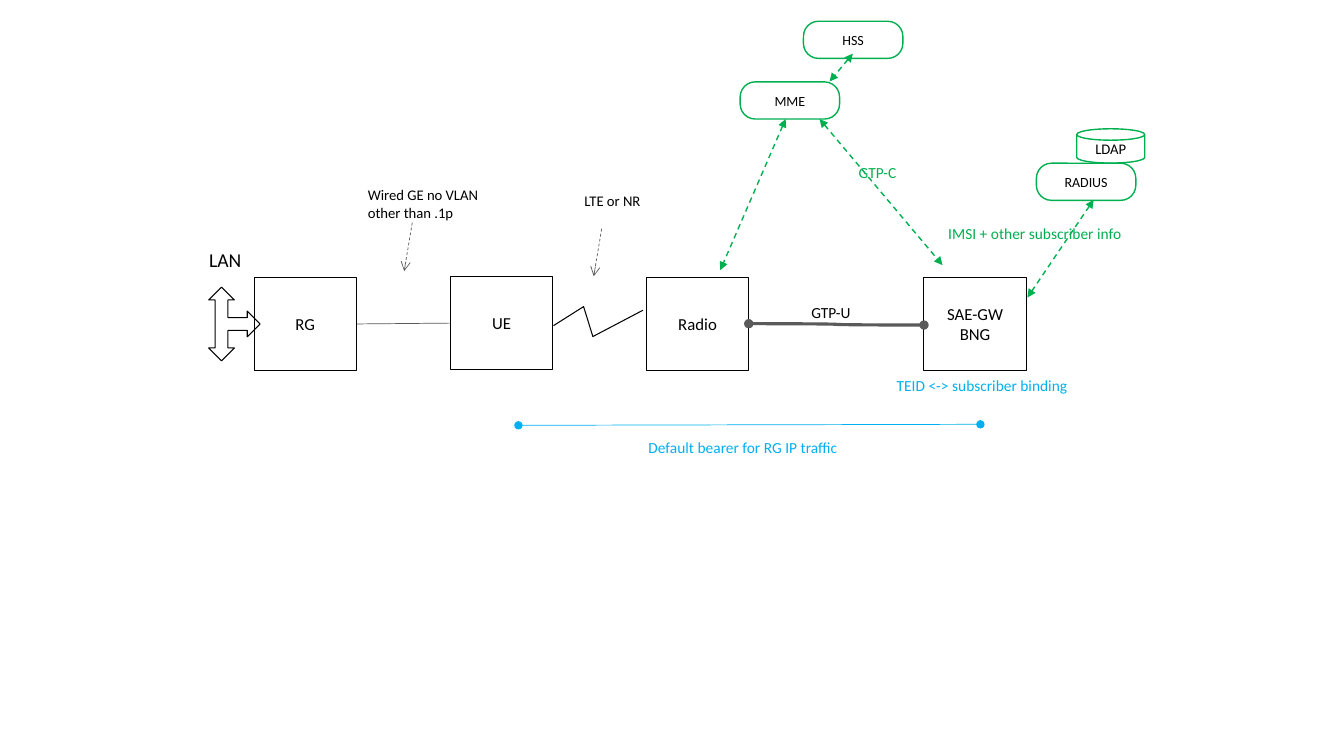
from lxml import etree
from pptx import Presentation
from pptx.dml.color import RGBColor
from pptx.enum.dml import MSO_LINE
from pptx.enum.shapes import MSO_CONNECTOR, MSO_SHAPE
from pptx.enum.text import MSO_ANCHOR, PP_ALIGN
from pptx.oxml.ns import qn
from pptx.util import Pt

RECTANGLE = MSO_SHAPE.RECTANGLE
ROUNDED = MSO_SHAPE.ROUNDED_RECTANGLE
DISK = MSO_SHAPE.FLOWCHART_MAGNETIC_DISK
THREE_WAY_ARROW = MSO_SHAPE.LEFT_RIGHT_UP_ARROW
STRAIGHT, CURVE = MSO_CONNECTOR.STRAIGHT, MSO_CONNECTOR.CURVE
DASH = MSO_LINE.DASH
LEFT, CENTER = PP_ALIGN.LEFT, PP_ALIGN.CENTER
TOP, MIDDLE = MSO_ANCHOR.TOP, MSO_ANCHOR.MIDDLE

COLORS = {"black": "000000", "gray": "5A5A5A", "green": "00B050", "blue": "00B0F0"}


def write(frame, text, size=11, color="black", align=LEFT, anchor=TOP, font="Calibri"):
    """Fill a text frame, one paragraph for each line of text."""
    frame.word_wrap = True
    frame.vertical_anchor = anchor
    frame.margin_left = frame.margin_right = frame.margin_top = frame.margin_bottom = 0
    for index, words in enumerate(text.split("\n")):
        para = frame.add_paragraph() if index else frame.paragraphs[0]
        para.alignment = align
        span = para.add_run()
        span.text = words
        span.font.name = font
        span.font.size = Pt(size)
        span.font.color.rgb = RGBColor.from_string(COLORS[color])


class Diagram:
    def __init__(self, page):
        self.page = page

    def outline(self, line, color, width):
        line.color.rgb = RGBColor.from_string(COLORS[color])
        line.width = Pt(width)

    def shape(self, kind, left, top, width, height, text="", size=12,
              color="black", weight=0.75):
        box = self.page.shapes.add_shape(kind, Pt(left), Pt(top), Pt(width), Pt(height))
        box.shadow.inherit = False
        box.fill.background()
        self.outline(box.line, color, weight)
        if text:
            write(box.text_frame, text, size, align=CENTER, anchor=MIDDLE)
        return box

    def label(self, text, left, top, width, height, **style):
        box = self.page.shapes.add_textbox(Pt(left), Pt(top), Pt(width), Pt(height))
        write(box.text_frame, text, **style)

    def link(self, start, end, color="gray", weight=0.5, dashed=False,
             head=None, tail=None, kind=STRAIGHT):
        line = self.page.shapes.add_connector(kind, *map(Pt, start + end))
        self.outline(line.line, color, weight)
        if dashed:
            line.line.dash_style = DASH
        stroke = line.line._get_or_add_ln()
        for tag, marker in (("a:headEnd", head), ("a:tailEnd", tail)):
            if marker:
                etree.SubElement(stroke, qn(tag), type=marker)
        etree.SubElement(line._element.spPr, qn("a:effectLst"))

    def polyline(self, points, color="black", weight=0.75):
        builder = self.page.shapes.build_freeform(*map(Pt, points[0]))
        builder.add_line_segments([tuple(map(Pt, point)) for point in points[1:]], close=False)
        line = builder.convert_to_shape()
        line.shadow.inherit = False
        line.fill.background()
        self.outline(line.line, color, weight)


deck = Presentation()
deck.slide_width, deck.slide_height = Pt(960), Pt(540)
diagram = Diagram(deck.slides.add_slide(deck.slide_layouts[6]))

# Network nodes
for name, left, top in (("RG", 181.5, 198), ("UE", 321.75, 197.3),
                        ("Radio", 461.8, 198), ("SAE-GW\nBNG", 660, 198)):
    diagram.shape(RECTANGLE, left, top, 73, 66.5, name)

# LAN side
lan_arrow = diagram.shape(THREE_WAY_ARROW, 141.1, 213.1, 52.6, 36.7)
lan_arrow.rotation = 90
diagram.label("LAN", 149.4, 176.8, 31, 12.5, size=14)

# Links between RG, UE and Radio, with callouts
diagram.link((254.9, 231.4), (321.8, 230.8))
for text, left, top, start, end in (
        ("Wired GE no VLAN other than .1p", 262.8, 133, (294.5, 159.1), (288.7, 193.7)),
        ("LTE or NR", 417.4, 136.8, (429.8, 163.4), (424.1, 197.3))):
    diagram.label(text, left, top, 85.7, 20, size=10.5)
    diagram.link(start, end, dashed=True, tail="arrow")
diagram.polyline([(395.4, 232.6), (416.9, 219), (423.5, 240.4), (459.3, 221.6)])

# Control servers
for name, left, top in (("MME", 528.7, 58.5), ("HSS", 573.9, 15.2), ("RADIUS", 740.3, 116.6)):
    server = diagram.shape(ROUNDED, left, top, 71, 26.5, name, 10, "green", 1)
    server.adjustments[0] = 0.405
diagram.shape(DISK, 769.1, 92, 48.6, 24.5, "LDAP", 10.5, "green", 1)

# Control links
for start, end in (((585.4, 85), (673.2, 189.4)), ((561.2, 85), (514.5, 193)),
                   ((781.2, 142.7), (733.9, 212.5)), ((609.2, 38.3), (592.6, 58.2))):
    diagram.link(start, end, "green", 1, True, "triangle", "triangle")
diagram.label("GTP-C", 613.3, 116.8, 32, 10, color="green")
diagram.label("IMSI + other subscriber info", 677.3, 160.4, 126, 11.5, color="green")

# User plane tunnel
diagram.link((534.8, 231.2), (660, 232.2), weight=2.25, head="oval", tail="oval", kind=CURVE)
diagram.label("GTP-U", 579.5, 216.8, 32, 10)

# Default bearer
diagram.link((370.3, 303.8), (700.3, 303.1), "blue", head="oval", tail="oval")
diagram.label("Default bearer for RG IP traffic", 463.2, 313.2, 158.4, 12.2, color="blue")
diagram.label("TEID <-> subscriber binding", 640.5, 268.7, 126, 11.5, color="blue")

deck.save("out.pptx")
